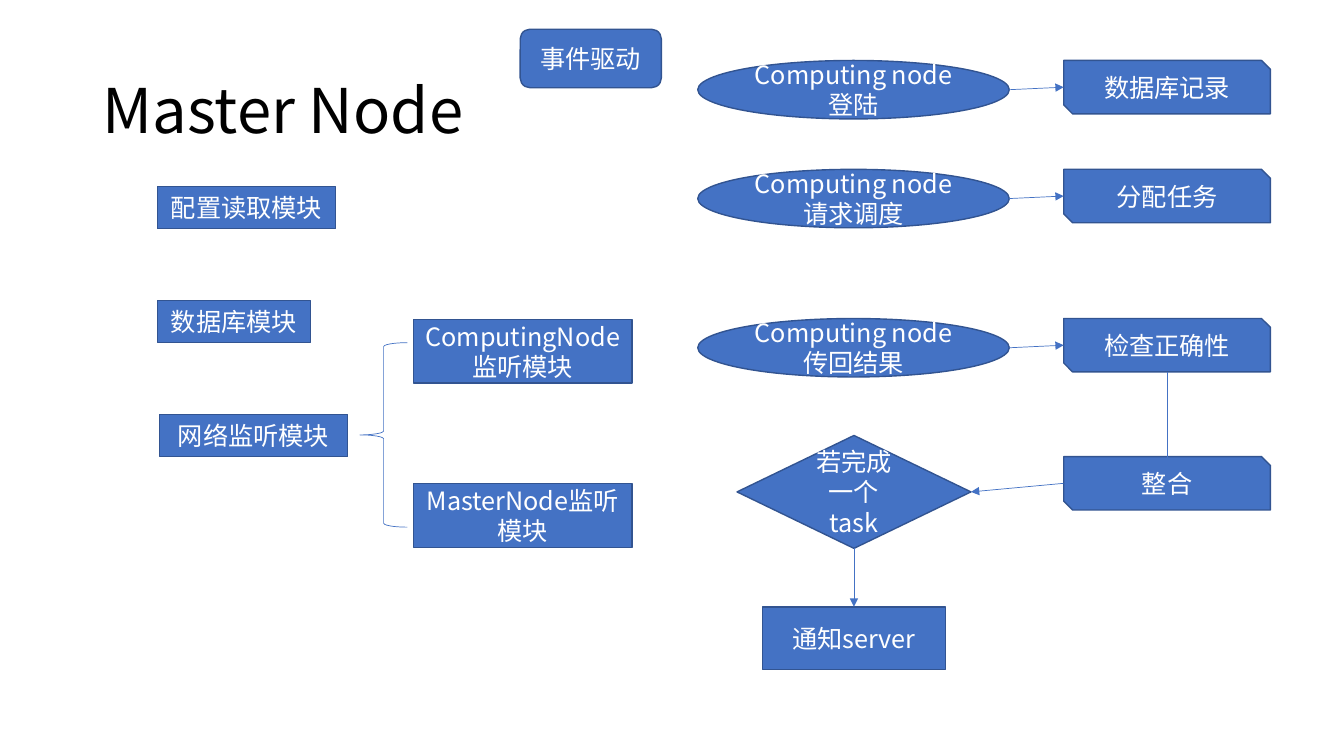
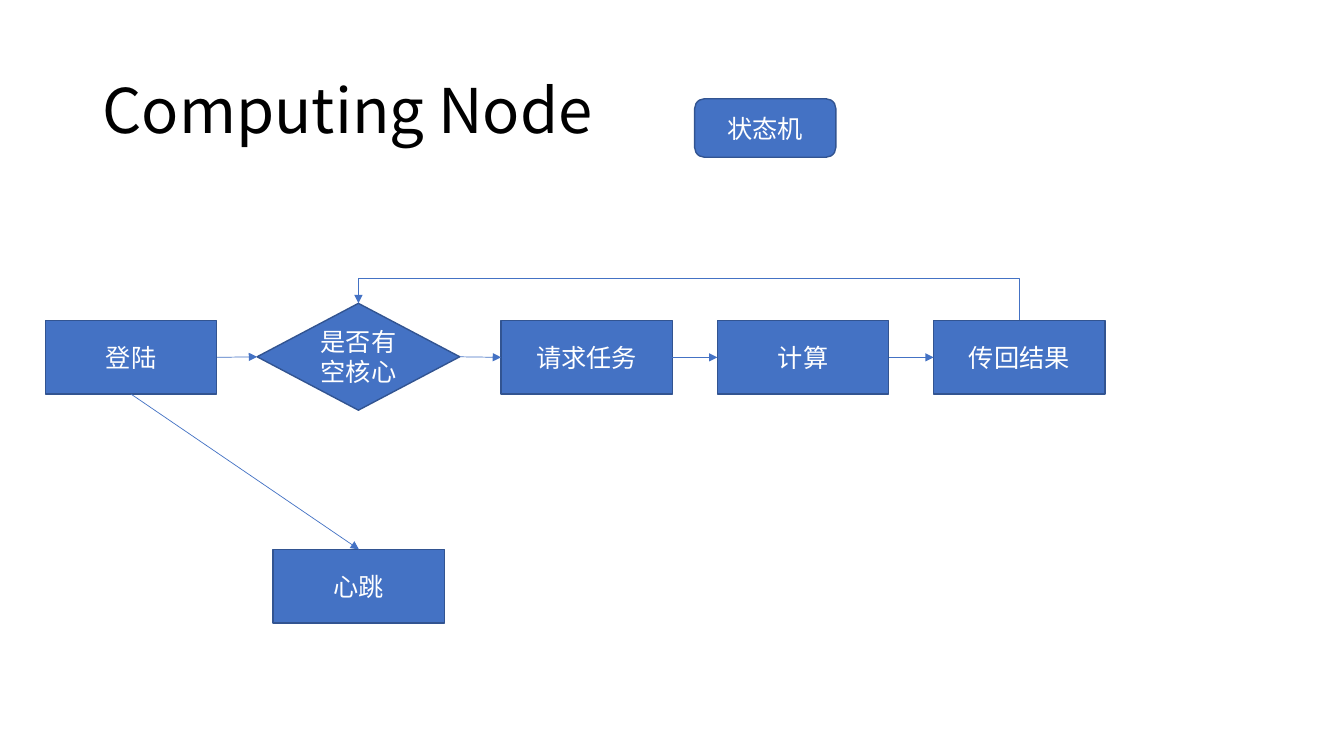
from lxml import etree
from pptx import Presentation
from pptx import util as u
from pptx.dml.color import RGBColor
from pptx.enum import shapes, text
from pptx.oxml.ns import qn

BLUE = RGBColor(0x44, 0x72, 0xC4)
EDGE = RGBColor(0x32, 0x54, 0x91)
WHITE = RGBColor(0xFF, 0xFF, 0xFF)
BLACK = RGBColor(0, 0, 0)
FONT = "Noto Sans CJK SC"
KIND = shapes.MSO_SHAPE
SIDES = ("top", "left", "bottom", "right")
SITES = {
    KIND.OVAL: (0, 2, 4, 6),
    KIND.SNIP_2_DIAG_RECTANGLE: (3, 2, 1, 0),
}
TITLE_BOX = (0.92, 0.4, 11.5, 1.45)
BADGE_SIZE = (1.4, 0.58)


def inches(values):
    return [u.Inches(value) for value in values]


def style_text(paragraph, size, color):
    for run in paragraph.runs:
        run.font.size = u.Pt(size)
        run.font.name = FONT
        run.font.color.rgb = color
        etree.SubElement(run.font._element, qn("a:ea"), typeface=FONT)


def add_title(slide, wording):
    frame = slide.shapes.add_textbox(*inches(TITLE_BOX)).text_frame
    frame.word_wrap = True
    frame.vertical_anchor = text.MSO_ANCHOR.MIDDLE
    frame.text = wording
    frame.paragraphs[0].line_spacing = 0.9
    style_text(frame.paragraphs[0], 44, BLACK)


def add_node(slide, label, box, kind=KIND.RECTANGLE):
    node = slide.shapes.add_shape(kind, *inches(box))
    node.shadow.inherit = False
    node.fill.solid()
    node.fill.fore_color.rgb = BLUE
    node.line.color.rgb = EDGE
    node.line.width = u.Pt(1)
    frame = node.text_frame
    frame.word_wrap = True
    frame.vertical_anchor = text.MSO_ANCHOR.MIDDLE
    frame.text = label
    frame.paragraphs[0].alignment = text.PP_ALIGN.CENTER
    style_text(frame.paragraphs[0], 18, WHITE)
    return node


def add_badge(slide, label, left, top):
    add_node(slide, label, (left, top, *BADGE_SIZE), KIND.ROUNDED_RECTANGLE)


def side_point(node, side):
    across = {"left": 0, "right": node.width}.get(side, node.width // 2)
    down = {"top": 0, "bottom": node.height}.get(side, node.height // 2)
    return node.left + across, node.top + down


def style_arrow(arrow):
    arrow.line.color.rgb = BLUE
    arrow.line.width = u.Pt(0.5)
    etree.SubElement(arrow.line._get_or_add_ln(), qn("a:tailEnd"), type="triangle")
    etree.SubElement(arrow.element.spPr, qn("a:effectLst"))


def glue(arrow, end, node, side):
    site = SITES.get(node.auto_shape_type, range(4))[SIDES.index(side)]
    holder = next(arrow.element.iter(qn("p:cNvCxnSpPr")))
    etree.SubElement(holder, qn(end), id=str(node.shape_id), idx=str(site))


def add_arrow(slide, source, target, leave="right", enter="left"):
    arrow = slide.shapes.add_connector(
        shapes.MSO_CONNECTOR.STRAIGHT, *side_point(source, leave), *side_point(target, enter))
    style_arrow(arrow)
    glue(arrow, "a:stCxn", source, leave)
    glue(arrow, "a:endCxn", target, enter)


def add_return_arrow(slide, source, target, clearance):
    start_x, start_y = side_point(source, "top")
    end_x, end_y = side_point(target, "top")
    rise, reach = start_y - end_y, start_x - end_x
    left = (start_x + end_x - rise) // 2
    top = (start_y + end_y - reach) // 2
    arrow = slide.shapes.add_connector(
        shapes.MSO_CONNECTOR.ELBOW, left, top, left + rise, top + reach)
    frame = arrow.element.spPr.find(qn("a:xfrm"))
    frame.set("rot", "16200000")
    frame.set("flipV", "1")
    bend = round((rise + u.Inches(clearance)) / rise * 100000)
    guides = next(arrow.element.iter(qn("a:avLst")))
    etree.SubElement(guides, qn("a:gd"), name="adj1", fmla=f"val {bend}")
    style_arrow(arrow)
    glue(arrow, "a:stCxn", source, "top")
    glue(arrow, "a:endCxn", target, "top")


def add_modules(slide, left, top):
    modules = (("配置读取模块", 0, 1.77), ("数据库模块", 0, 1.52), ("网络监听模块", 0.02, 1.87))
    for row, (label, indent, width) in enumerate(modules):
        add_node(slide, label, (left + indent, top + 1.13 * row, width, 0.42))
    brace = slide.shapes.add_shape(
        KIND.LEFT_BRACE, *inches((left + 2.01, top + 1.55, 0.47, 1.83)))
    brace.shadow.inherit = False
    brace.fill.background()
    brace.line.color.rgb = BLUE
    brace.line.width = u.Pt(0.5)
    for row, label in enumerate(("ComputingNode监听模块", "MasterNode监听模块")):
        add_node(slide, label, (left + 2.54, top + 1.32 + 1.63 * row, 2.17, 0.63))


def add_events(slide, left, top):
    def add_action(label, offset):
        return add_node(slide, label, (left + 3.63, top + offset, 2.05, 0.53),
                        KIND.SNIP_2_DIAG_RECTANGLE)

    events = (("登陆", "数据库记录", 0), ("请求调度", "分配任务", 1.08),
              ("传回结果", "检查正确性", 2.56))
    for event, response, offset in events:
        request = add_node(slide, "Computing node" + event,
                           (left, top + offset, 3.09, 0.58), KIND.OVAL)
        action = add_action(response, offset)
        add_arrow(slide, request, action)
    merge = add_action("整合", 3.93)
    finished = add_node(slide, "若完成一个task", (left + 0.39, top + 3.72, 2.32, 1.12),
                        KIND.DIAMOND)
    notice = add_node(slide, "通知server", (left + 0.64, top + 5.42, 1.82, 0.62))
    check_x, check_y = side_point(action, "bottom")
    check_to_merge = slide.shapes.add_connector(
        shapes.MSO_CONNECTOR.STRAIGHT, check_x, check_y, check_x, merge.top + u.Inches(0.16))
    style_arrow(check_to_merge)
    add_arrow(slide, merge, finished, "left", "right")
    add_arrow(slide, finished, notice, "bottom", "top")


def add_cycle(slide, left, top):
    def add_step(label, across, down=0):
        return add_node(slide, label, (left + across, top + down, 1.7, 0.73))

    login = add_step("登陆", 0)
    heartbeat = add_step("心跳", 2.26, 2.27)
    work = [add_step(label, 4.52 + 2.145 * column)
            for column, label in enumerate(("请求任务", "计算", "传回结果"))]
    idle_core = add_node(slide, "是否有空核心", (left + 2.1, top - 0.17, 2.01, 1.06),
                         KIND.DIAMOND)
    steps = [login, idle_core, *work]
    for source, target in zip(steps, steps[1:]):
        add_arrow(slide, source, target)
    add_return_arrow(slide, work[-1], idle_core, 0.25)
    add_arrow(slide, login, heartbeat, "bottom", "top")


def build_master_slide(deck):
    slide = deck.slides.add_slide(deck.slide_layouts[6])
    add_title(slide, "Master Node")
    add_modules(slide, 1.56, 1.85)
    add_events(slide, 6.92, 0.6)
    add_badge(slide, "事件驱动", 5.16, 0.29)


def build_computing_slide(deck):
    slide = deck.slides.add_slide(deck.slide_layouts[6])
    add_title(slide, "Computing Node")
    add_cycle(slide, 0.45, 3.18)
    add_badge(slide, "状态机", 6.89, 0.98)


deck = Presentation()
deck.slide_width, deck.slide_height = inches((13.33, 7.5))
build_master_slide(deck)
build_computing_slide(deck)
deck.save("out.pptx")
